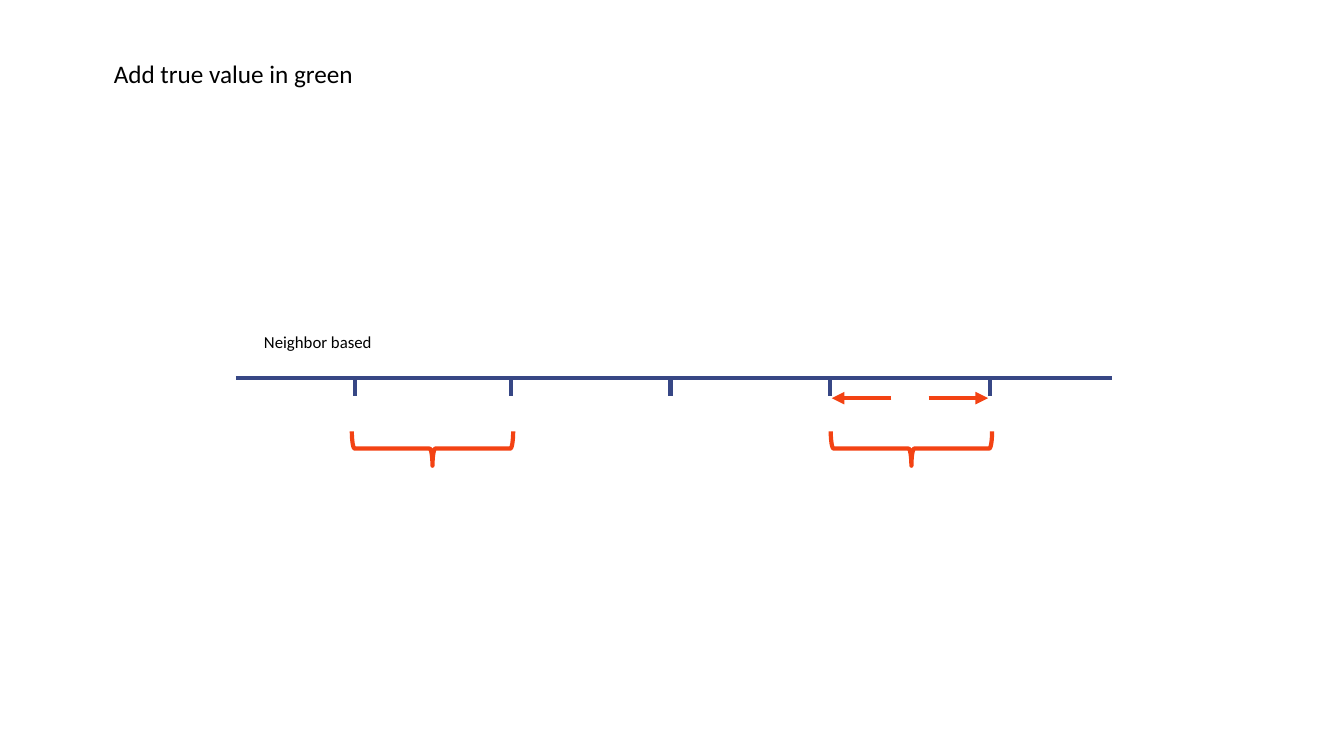
from lxml.etree import SubElement
from pptx import Presentation
from pptx.dml.color import RGBColor
from pptx.enum.shapes import MSO_CONNECTOR as Connector, MSO_SHAPE as Shape
from pptx.enum.text import MSO_AUTO_SIZE as AutoSize
from pptx.oxml.ns import qn
from pptx.util import Pt

PX = 9144
COLORS = {"text": "000000", "axis": "374785", "accent": "F34213"}
FONT = "Calibri"
STROKE = 3


def add_text(slide, text, *, box, size, wrap=True):
    shape = slide.shapes.add_textbox(*(value * PX for value in box))
    frame = shape.text_frame
    frame.word_wrap = wrap
    frame.auto_size = AutoSize.SHAPE_TO_FIT_TEXT
    paragraph = frame.paragraphs[0]
    paragraph.text = text
    font = paragraph.runs[0].font
    font.name, font.size = FONT, Pt(size)
    font.color.rgb = RGBColor.from_string(COLORS["text"])


def style_line(line, color):
    line.color.rgb = RGBColor.from_string(COLORS[color])
    line.width = Pt(STROKE)


def add_line(slide, start, end, color, arrow=False):
    points = (value * PX for value in (*start, *end))
    connector = slide.shapes.add_connector(Connector.STRAIGHT, *points)
    style_line(connector.line, color)
    properties = connector._element.spPr
    if arrow:
        SubElement(properties.find(qn("a:ln")), qn("a:tailEnd"), type="triangle")
    SubElement(properties, qn("a:effectLst"))


def add_brace(slide, center_x, center_y, span, depth):
    left, top = center_x - depth // 2, center_y - span // 2
    brace = slide.shapes.add_shape(
        Shape.LEFT_BRACE, left * PX, top * PX, depth * PX, span * PX)
    brace.rotation = 270
    brace.shadow.inherit = False
    brace.fill.background()
    style_line(brace.line, "accent")


def add_number_line(slide, left, top, width):
    for offset in (118, 273, 431, 589, 748):
        x = left + offset
        add_line(slide, (x, top), (x, top + 18), "axis")
    add_line(slide, (left, top), (left + width, top), "axis")

    for center in (195, 670):
        add_brace(slide, left + center, top + 70, span=160, depth=34)

    for start, end in ((650, 591), (687, 746)):
        add_line(slide, (left + start, top + 20), (left + end, top + 20),
                 "accent", arrow=True)

    add_text(slide, "Neighbor based", box=(left + 18, top - 51, 137, 30), size=12)


def main():
    presentation = Presentation()
    presentation.slide_width = 1333 * PX
    presentation.slide_height = 750 * PX
    slide = presentation.slides.add_slide(presentation.slide_layouts[6])
    add_text(slide, "Add true value in green", box=(103, 53, 261, 40), size=18, wrap=False)
    add_number_line(slide, left=234, top=375, width=869)
    presentation.save("out.pptx")


if __name__ == "__main__":
    main()
